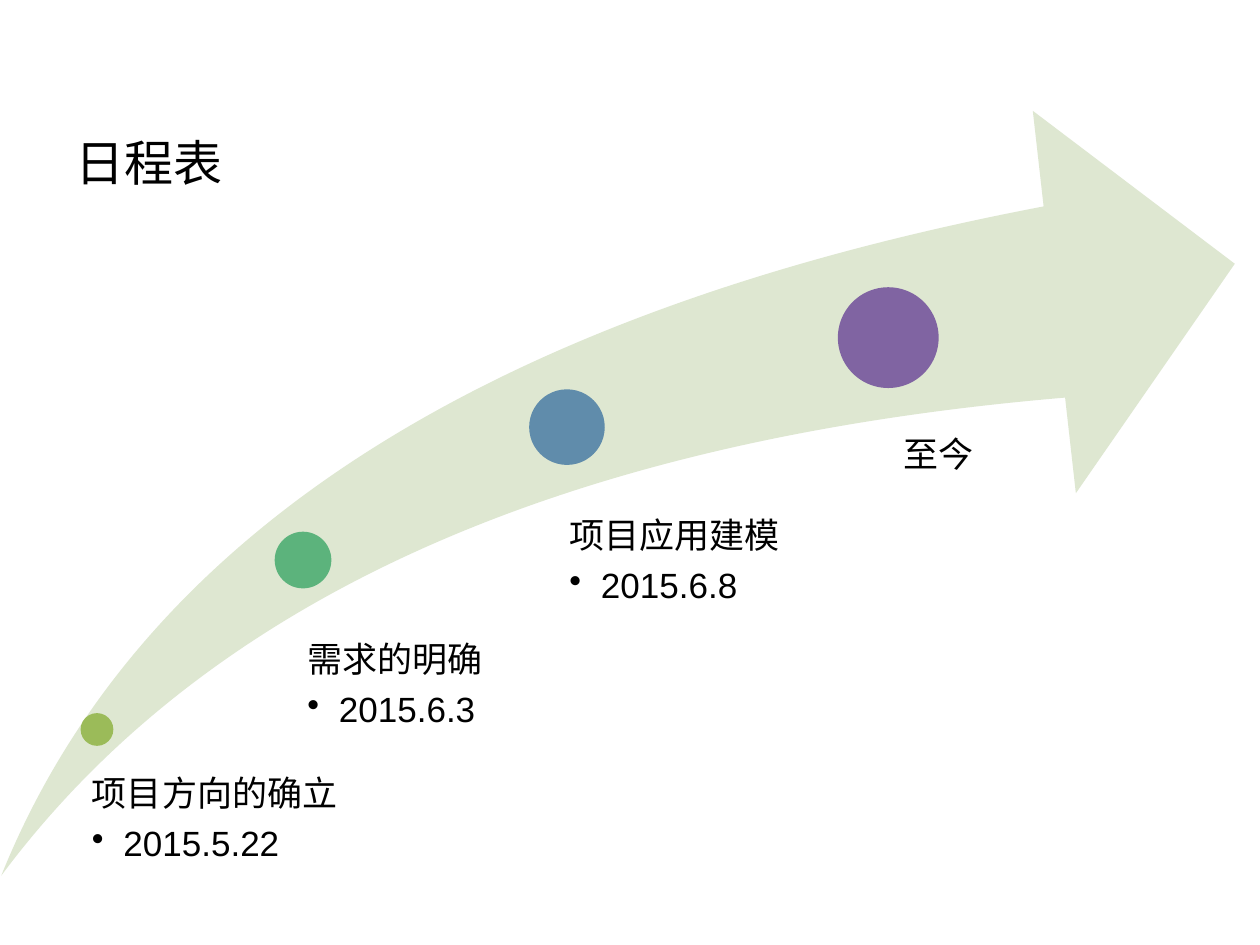
from dataclasses import dataclass

from lxml import etree
from pptx import Presentation
from pptx import util as u
from pptx.dml.color import RGBColor
from pptx.enum import shapes, text
from pptx.oxml.ns import qn

COLORS = {
    "text": "000000",
    "arrow": "DEE7D1",
    "lime": "9BBB59",
    "green": "5CB37C",
    "blue": "608CAB",
    "purple": "8064A2",
}
FONT = "Arial"
BULLET_INDENT = u.Inches(0.25)


@dataclass
class Milestone:
    label: str
    date: str
    color: str
    dot: tuple[float, float, float]
    box: tuple[float, float, float, float]
    inset: float


MILESTONES = [
    Milestone("项目方向的确立", "2015.5.22", "lime", (0.64, 5.66, 0.26), (0.59, 6.16, 2.33, 1.68), 0.14),
    Milestone("需求的明确", "2015.6.3", "green", (2.18, 4.22, 0.45), (2.2, 5.1, 2.37, 2.63), 0.24),
    Milestone("项目应用建模", "2015.6.8", "blue", (4.2, 3.09, 0.6), (4.2, 4.11, 2.37, 2.65), 0.32),
    Milestone("至今", "", "purple", (6.65, 2.28, 0.8), (6.75, 3.47, 2.37, 3.26), 0.42),
]


def write(p, content: str, *, size: float, color: str = "text", line: float = 1.0,
          after: float = 0, bullet: str = "") -> None:
    p.alignment = text.PP_ALIGN.LEFT
    p.line_spacing = line
    p.space_after = u.Pt(after)
    r = p.add_run()
    r.text = content
    r.font.name = FONT
    r.font.size = u.Pt(size)
    r.font.color.rgb = RGBColor.from_string(COLORS[color])
    if bullet:
        p.level = 1
        pPr = p._p.get_or_add_pPr()
        pPr.set("marL", str(BULLET_INDENT))
        pPr.set("indent", str(-BULLET_INDENT))
        etree.SubElement(pPr, qn("a:buChar")).set("char", bullet)


def add_filled(s, kind, left: float, top: float, width: float, height: float, color: str):
    sp = s.shapes.add_shape(kind, *map(u.Inches, (left, top, width, height)))
    sp.shadow.inherit = False
    sp.fill.solid()
    sp.fill.fore_color.rgb = RGBColor.from_string(COLORS[color])
    sp.line.fill.background()
    return sp


def add_milestone(s, m: Milestone) -> None:
    left, top, size = m.dot
    add_filled(s, shapes.MSO_SHAPE.OVAL, left, top, size, size, m.color)
    tf = s.shapes.add_textbox(*map(u.Inches, m.box)).text_frame
    tf.word_wrap = True
    tf.margin_left = u.Inches(m.inset)
    tf.margin_top = tf.margin_right = tf.margin_bottom = 0
    write(tf.paragraphs[0], m.label, size=20, line=0.9, after=7)
    if m.date:
        write(tf.add_paragraph(), m.date, size=20, line=0.9, after=3, bullet="•")


def add_title(s, content: str) -> None:
    sp = s.shapes.title
    sp.left, sp.top, sp.width, sp.height = map(u.Inches, (0.5, 1, 9, 1))
    tf = sp.text_frame
    tf.vertical_anchor = text.MSO_ANCHOR.TOP
    write(tf.paragraphs[0], content, size=28)


def main() -> None:
    prs = Presentation()
    prs.slide_width, prs.slide_height = u.Inches(10), u.Inches(7.5)
    s = prs.slides.add_slide(prs.slide_layouts[5])
    add_title(s, "日程表")
    arrow = add_filled(s, shapes.MSO_SHAPE.SWOOSH_ARROW, 0.01, 0.88, 9.79, 6.07, "arrow")
    arrow.adjustments[0] = arrow.adjustments[1] = 0.25
    for m in MILESTONES:
        add_milestone(s, m)
    prs.save("out.pptx")


if __name__ == "__main__":
    main()
